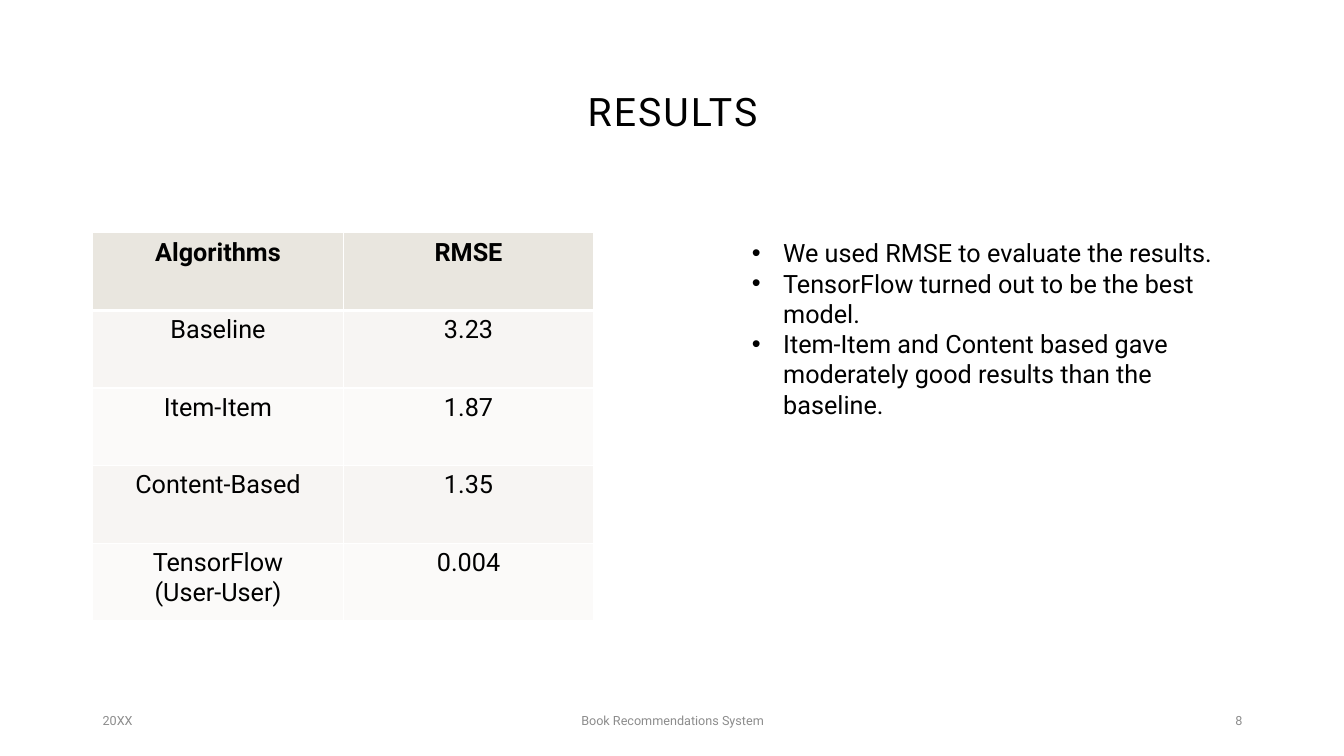
"""Build the results slide: an RMSE table, takeaways and a footer."""
from lxml import etree
from pptx import Presentation
from pptx import util as u
from pptx.dml.color import RGBColor
from pptx.enum import text
from pptx.oxml import ns

THEME = {
    "font": "Roboto",
    "title": {"size": 28, "color": "000000"},
    "body": {"size": 18, "color": "000000"},
    "footer": {"size": 9, "color": "8C8C8C"},
    "header_fill": "E9E6DF",
    "band_fills": ("FBFAF9", "F7F5F3"),
    "border": "FFFFFF",
}
ALIGN = text.PP_ALIGN
ANCHOR = text.MSO_ANCHOR


def write(frame, content, style, align=ALIGN.LEFT, bold=False):
    """Fill a text frame, one paragraph per line, and format it."""
    frame.text = content
    frame.word_wrap = True
    for para in frame.paragraphs:
        para.alignment = align
        for span in para.runs:
            span.font.color.rgb = RGBColor.from_string(style["color"])
            values = {"name": THEME["font"], "size": u.Pt(style["size"]), "bold": bold}
            for name, value in values.items():
                setattr(span.font, name, value)


def add_border(cell, side, width):
    """Draw one edge of a table cell, with its width in points."""
    props = cell._tc.get_or_add_tcPr()
    line = etree.SubElement(props, ns.qn(f"a:ln{side}"), w=str(u.Pt(width)))
    fill = etree.SubElement(line, ns.qn("a:solidFill"))
    etree.SubElement(fill, ns.qn("a:srgbClr"), val=THEME["border"])


deck = Presentation()
deck.slide_width, deck.slide_height = u.Inches(13.33), u.Inches(7.5)
page = deck.slides.add_slide(deck.slide_layouts[5])

title = page.shapes.title
place = {"left": 0.92, "top": 0.4, "width": 11.5, "height": 1.45}
for name, value in place.items():
    setattr(title, name, u.Inches(value))
write(title.text_frame, "RESULTS", THEME["title"], ALIGN.CENTER)
title.text_frame.vertical_anchor = ANCHOR.MIDDLE
heading = title.text_frame.paragraphs[0]
heading.line_spacing = 0.9
heading.runs[0].font._element.set("spc", "150")

results = [
    ("Algorithms", "RMSE"),
    ("Baseline", "3.23"),
    ("Item-Item", "1.87"),
    ("Content-Based", "1.35"),
    ("TensorFlow\n(User-User)", "0.004"),
]
table = page.shapes.add_table(
    len(results), 2, u.Inches(0.92), u.Inches(2.31), u.Inches(4.97), u.Inches(3.85)
).table
for row, values in enumerate(results):
    is_header = row == 0
    fill = THEME["header_fill"] if is_header else THEME["band_fills"][row % 2]
    for column, value in enumerate(values):
        cell = table.cell(row, column)
        write(cell.text_frame, value, THEME["body"], ALIGN.CENTER, is_header)
        for side in "LRTB":
            thick = (is_header and side == "B") or (row == 1 and side == "T")
            add_border(cell, side, 3 if thick else 1)
        cell.fill.solid()
        cell.fill.fore_color.rgb = RGBColor.from_string(fill)

footers = [
    ("20XX", 0.92, 3, ALIGN.LEFT),
    ("Book Recommendations System", 4.42, 4.5, ALIGN.CENTER),
    ("8", 9.42, 3, ALIGN.RIGHT),
]
for content, left, width, align in footers:
    box = page.shapes.add_textbox(
        u.Inches(left), u.Inches(6.95), u.Inches(width), u.Inches(0.4)
    )
    write(box.text_frame, content, THEME["footer"], align)
    box.text_frame.vertical_anchor = ANCHOR.MIDDLE

takeaways = [
    "We used RMSE to evaluate the results.",
    "TensorFlow turned out to be the best model.",
    "Item-Item and Content based gave moderately good results than the baseline.",
]
box = page.shapes.add_textbox(
    u.Inches(7.36), u.Inches(2.31), u.Inches(5.14), u.Inches(2.22)
)
write(box.text_frame, "\n".join(takeaways), THEME["body"])
indent = u.Inches(0.31)
for para in box.text_frame.paragraphs:
    props = para._p.get_or_add_pPr()
    props.set("marL", str(indent))
    props.set("indent", str(-indent))
    etree.SubElement(props, ns.qn("a:buFont"), typeface="Arial")
    etree.SubElement(props, ns.qn("a:buChar"), char="•")

deck.save("out.pptx")
